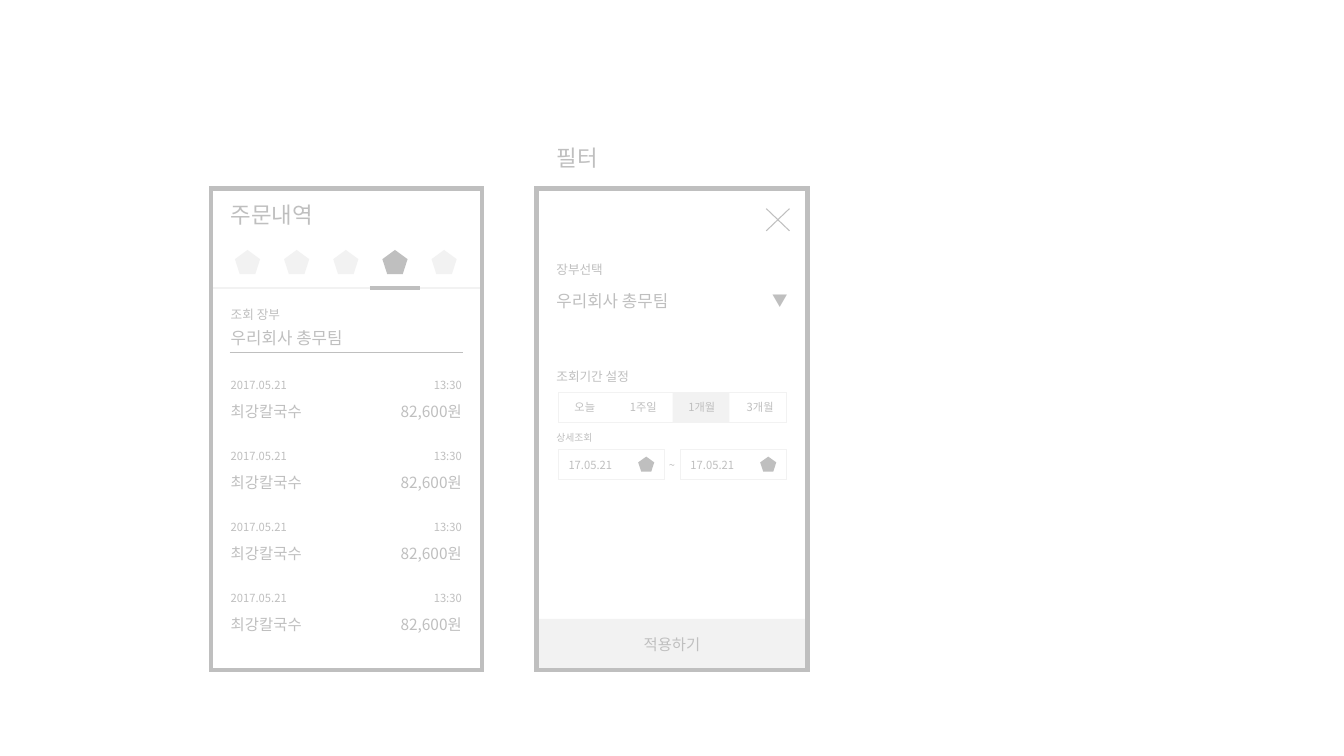
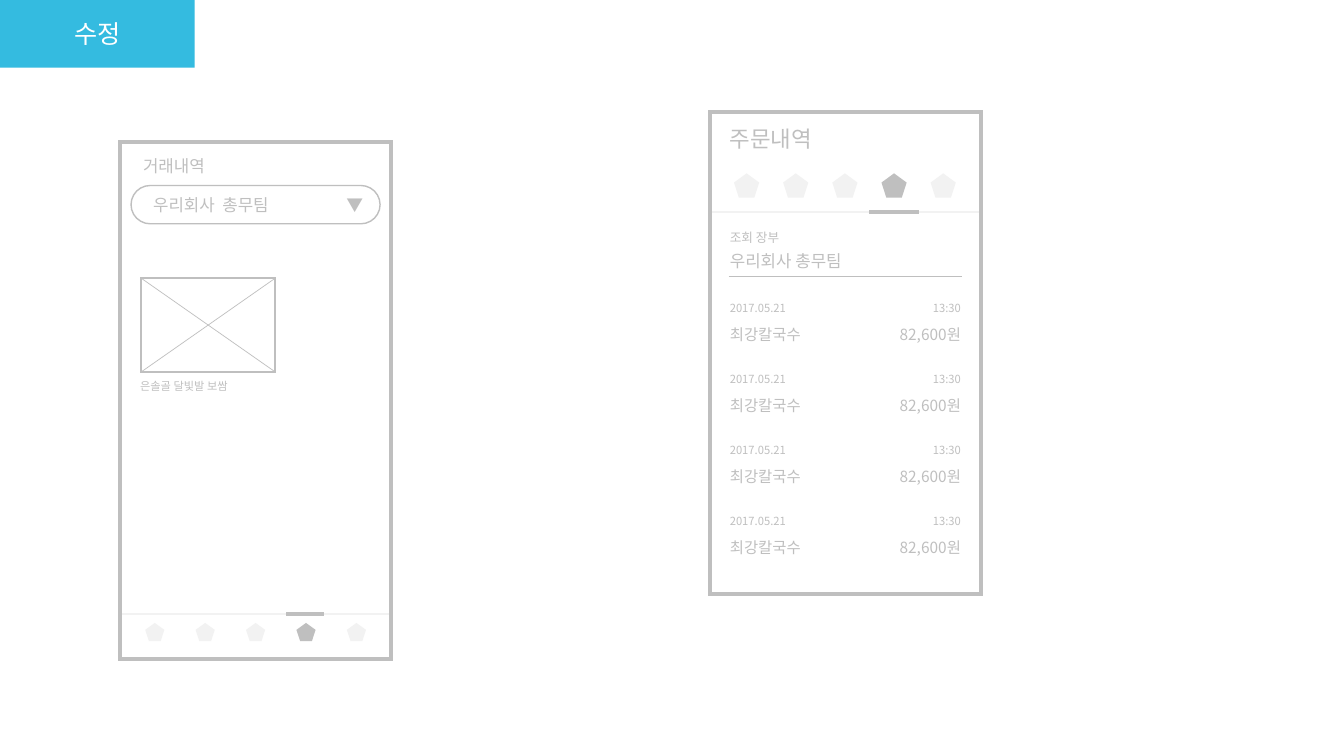
"""Build two wireframe slides: an order history with its filter, and a revised version."""
from dataclasses import dataclass

from lxml import etree
from pptx import Presentation
from pptx.dml.color import RGBColor
from pptx.enum.shapes import MSO_CONNECTOR, MSO_SHAPE
from pptx.enum.text import MSO_ANCHOR, MSO_AUTO_SIZE, PP_ALIGN
from pptx.oxml.ns import qn
from pptx.util import Inches, Pt

RECT, PENTAGON = MSO_SHAPE.RECTANGLE, MSO_SHAPE.REGULAR_PENTAGON
PILL, STRAIGHT = MSO_SHAPE.ROUNDED_RECTANGLE, MSO_CONNECTOR.STRAIGHT
LEFT, CENTER, RIGHT = PP_ALIGN.LEFT, PP_ALIGN.CENTER, PP_ALIGN.RIGHT
MIDDLE, NO_FIT = MSO_ANCHOR.MIDDLE, MSO_AUTO_SIZE.NONE


@dataclass(frozen=True)
class Theme:
    font: str = "Noto Sans CJK KR"
    ink: str = "BFBFBF"
    pale: str = "F2F2F2"
    white: str = "FFFFFF"
    accent: str = "34BBE0"
    banner: int = 18
    title: int = 16
    lead: int = 12
    item: int = 11
    label: int = 9
    small: int = 8
    tiny: int = 7
    frame: float = 3
    divider: float = 1.5
    outline: float = 1
    hairline: float = 0.75
    cross: float = 0.5


THEME = Theme()
TEXT_HEIGHT = 0.38
PHONE_WIDTH, PHONE_HEIGHT = 2.69, 4.78
TAB_COUNT, ACTIVE_TAB = 5, 3

ORDER_TITLE = "주문내역"
LEDGER_LABEL, LEDGER = "조회 장부", "우리회사 총무팀"
ORDERS = [("2017.05.21", "13:30", "최강칼국수", "82,600원")] * 4

FILTER_TITLE = "필터"
FILTER_LABELS = [
    ("장부선택", 2.48, THEME.label),
    (LEDGER, 2.79, THEME.lead),
    ("조회기간 설정", 3.54, THEME.label),
    ("상세조회", 4.15, THEME.tiny),
]
PERIODS, ACTIVE_PERIOD = ["오늘", "1주일", "1개월", "3개월"], 2
DATES = [("17.05.21", 5.54), ("17.05.21", 6.75)]
APPLY = "적용하기"

REVISION_TITLE = "수정"
TRADE_TITLE, TRADE_LEDGER = "거래내역", "우리회사  총무팀"
SHOP = "은솔골 달빛발 보쌈"


def spread(first, last, count):
    return [first + (last - first) * index / (count - 1) for index in range(count)]


def write(box, text, size, color=THEME.ink, align=LEFT):
    frame = box.text_frame
    frame.text = text
    frame.word_wrap = True
    frame.auto_size = NO_FIT
    frame.vertical_anchor = MIDDLE
    if align == CENTER:
        frame.margin_left = frame.margin_right = 0
    para = frame.paragraphs[0]
    para.alignment = align
    font = para.runs[0].font
    font.name, font.size = THEME.font, Pt(size)
    font.color.rgb = RGBColor.from_string(color)
    properties = para.runs[0]._r.get_or_add_rPr()
    etree.SubElement(properties, qn("a:ea")).set("typeface", THEME.font)


def place(box, left, top, width, height):
    box.left, box.top = Inches(left), Inches(top)
    box.width, box.height = Inches(width), Inches(height)


def add_text(page, text, left, top, width, size, align=LEFT):
    box = page.shapes.add_textbox(
        Inches(left), Inches(top), Inches(width), Inches(TEXT_HEIGHT))
    write(box, text, size, align=align)


def add_shape(page, kind, left, top, width, height, fill=None, line=None, weight=0):
    shape = page.shapes.add_shape(
        kind, Inches(left), Inches(top), Inches(width), Inches(height))
    shape.shadow.inherit = False
    if fill:
        shape.fill.solid()
        shape.fill.fore_color.rgb = RGBColor.from_string(fill)
    else:
        shape.fill.background()
    if line:
        shape.line.color.rgb = RGBColor.from_string(line)
        shape.line.width = Pt(weight)
        outline = shape._element.spPr.find(qn("a:ln"))
        etree.SubElement(outline, qn("a:miter")).set("lim", "800000")
    else:
        shape.line.fill.background()
    return shape


def add_line(page, start, end, color, weight):
    points = [Inches(value) for value in (*start, *end)]
    line = page.shapes.add_connector(STRAIGHT, *points)
    line.line.color.rgb = RGBColor.from_string(color)
    line.line.width = Pt(weight)
    etree.SubElement(line._element.spPr, qn("a:effectLst"))


def add_cross(page, left, top, width, height, weight):
    right, bottom = left + width, top + height
    add_line(page, (left, top), (right, bottom), THEME.ink, weight)
    add_line(page, (left, bottom), (right, top), THEME.ink, weight)


def add_frame(page, left, top, height=PHONE_HEIGHT):
    add_shape(page, RECT, left, top, PHONE_WIDTH, height,
              line=THEME.ink, weight=THEME.frame)


def add_tabs(page, left, line_top, icon_top, icon_lefts, icon_size, marker):
    add_line(page, (left, line_top), (left + PHONE_WIDTH, line_top),
             THEME.pale, THEME.divider)
    for index, icon_left in enumerate(icon_lefts):
        fill = THEME.ink if index == ACTIVE_TAB else THEME.pale
        add_shape(page, PENTAGON, left + icon_left, icon_top, *icon_size, fill=fill)
    start, end = marker
    add_line(page, (left + start, line_top), (left + end, line_top),
             THEME.ink, THEME.frame)


def add_order_phone(page, left, top):
    add_tabs(page, left, top + 0.99, top + 0.61,
             spread(0.24, 2.19, TAB_COUNT), (0.25, 0.24), (1.58, 2.08))
    add_frame(page, left, top)
    text_left, amount_left = left + 0.1, left + 1.47
    add_text(page, ORDER_TITLE, text_left, top + 0.07, 2.49, THEME.title)
    add_text(page, LEDGER_LABEL, text_left, top + 1.06, 2.09, THEME.label)
    add_text(page, LEDGER, text_left, top + 1.29, 2.09, THEME.lead)
    add_line(page, (left + 0.19, top + 1.63), (left + 2.5, top + 1.63),
             THEME.ink, THEME.hairline)
    row_tops = spread(top + 1.76, top + 3.87, len(ORDERS))
    for row_top, (date, time, shop, amount) in zip(row_tops, ORDERS):
        name_top = row_top + 0.26
        add_text(page, date, text_left, row_top, 1.06, THEME.small)
        add_text(page, time, amount_left, row_top, 1.12, THEME.small, RIGHT)
        add_text(page, shop, text_left, name_top, 2.09, THEME.item)
        add_text(page, amount, amount_left, name_top, 1.12, THEME.item, RIGHT)


def add_period_picker(page, left, top, width, height):
    segment = width / len(PERIODS)
    add_shape(page, RECT, left + ACTIVE_PERIOD * segment, top, segment, height,
              fill=THEME.pale)
    add_shape(page, RECT, left, top, width, height,
              line=THEME.pale, weight=THEME.hairline)
    text_lefts = spread(left, left + width - 0.52, len(PERIODS))
    for text_left, period in zip(text_lefts, PERIODS):
        add_text(page, period, text_left, top - 0.04, 0.52, THEME.small, CENTER)


def add_filter_phone(page, left, top):
    for text, text_top, size in FILTER_LABELS:
        add_text(page, text, left + 0.1, text_top, 2.49, size)
    add_text(page, "▼", left + 0.1, 2.79, 2.49, THEME.item, RIGHT)
    add_period_picker(page, 5.54, 3.89, 2.26, 0.3)
    for date, date_left in DATES:
        add_shape(page, RECT, date_left, 4.46, 1.05, 0.3,
                  THEME.white, THEME.pale, THEME.hairline)
        add_text(page, date, date_left, 4.42, 1.05, THEME.small)
        add_shape(page, PENTAGON, date_left + 0.79, 4.53, 0.16, 0.15, fill=THEME.ink)
    add_text(page, "~", 6.49, 4.42, 0.35, THEME.small, CENTER)
    add_cross(page, 7.6, 2.07, 0.23, 0.22, THEME.hairline)
    add_shape(page, RECT, left, 6.14, PHONE_WIDTH, 0.5, fill=THEME.pale)
    add_text(page, APPLY, left, 6.2, PHONE_WIDTH, THEME.item, CENTER)
    add_frame(page, left, top)


def add_trade_phone(page, left, top):
    add_tabs(page, left, 6.09, 6.18,
             spread(0.25, 2.25, TAB_COUNT), (0.19, 0.18), (1.65, 2.02))
    add_frame(page, left, top, 5.13)
    add_text(page, TRADE_TITLE, 1.32, 1.45, 2.31, THEME.lead)
    picker = add_shape(page, PILL, 1.3, 1.84, 2.47, TEXT_HEIGHT,
                       line=THEME.ink, weight=THEME.outline)
    picker.adjustments[0] = 0.5
    add_text(page, TRADE_LEDGER, 1.42, 1.84, 1.52, THEME.lead)
    add_text(page, "▼", 3.13, 1.84, 0.57, THEME.lead, RIGHT)
    thumbnail = (1.4, 2.76, 1.33, 0.93)
    add_shape(page, RECT, *thumbnail, THEME.white, THEME.ink, THEME.divider)
    add_cross(page, *thumbnail, THEME.cross)
    add_text(page, SHOP, 1.29, 3.64, 1.35, THEME.small)


def add_page(deck):
    return deck.slides.add_slide(deck.slide_layouts[5])


def build_order_page(deck):
    page = add_page(deck)
    title = page.shapes.title
    place(title, 5.42, 1.37, 2.49, TEXT_HEIGHT)
    write(title, FILTER_TITLE, THEME.title)
    add_order_phone(page, 2.09, 1.87)
    add_filter_phone(page, 5.32, 1.87)


def build_revision_page(deck):
    page = add_page(deck)
    banner = page.shapes.title
    place(banner, 0, 0, 1.93, 0.67)
    banner.fill.solid()
    banner.fill.fore_color.rgb = RGBColor.from_string(THEME.accent)
    write(banner, REVISION_TITLE, THEME.banner, THEME.white, CENTER)
    add_trade_phone(page, 1.19, 1.41)
    add_order_phone(page, 7.04, 1.11)


def main():
    deck = Presentation()
    deck.slide_width, deck.slide_height = Inches(13.33), Inches(7.5)
    build_order_page(deck)
    build_revision_page(deck)
    deck.save("out.pptx")


if __name__ == "__main__":
    main()
